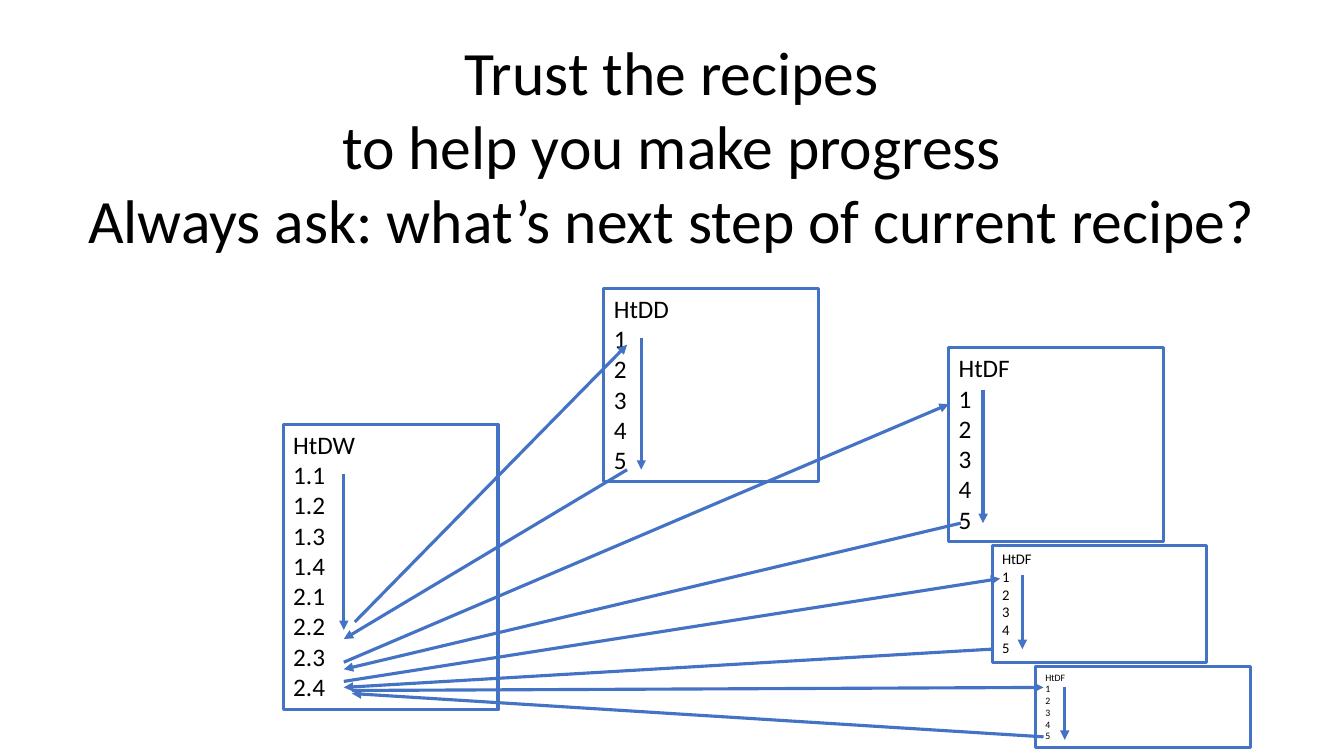
from pptx import Presentation
from pptx.dml.color import RGBColor
from pptx.enum.shapes import MSO_CONNECTOR, MSO_SHAPE
from pptx.enum.text import MSO_ANCHOR, PP_ALIGN
from pptx.oxml.ns import qn
from pptx.util import Inches, Pt
from lxml.etree import SubElement

COLOURS = {"line": "4472C4", "text": "000000"}
FONT = "Calibri"
LINE_WIDTH = 2.25
BOX_WIDTH = 2.13
TITLE = [
    "Trust the recipes",
    "to help you make progress",
    "Always ask: what’s next step of current recipe?",
]
WORLD_STEPS = ["1.1", "1.2", "1.3", "1.4", "2.1", "2.2", "2.3", "2.4"]
STEPS = ["1", "2", "3", "4", "5"]
RECIPES = [
    {"name": "HtDW", "steps": WORLD_STEPS, "at": (2.81, 4.21), "height": 2.83, "size": 18},
    {"name": "HtDD", "steps": STEPS, "at": (5.99, 2.86), "height": 1.92, "size": 18},
    {"name": "HtDF", "steps": STEPS, "at": (9.41, 3.45), "height": 1.92, "size": 18},
    {"name": "HtDF", "steps": STEPS, "at": (9.84, 5.41), "height": 1.16, "size": 10.5},
    {"name": "HtDF", "steps": STEPS, "at": (10.27, 6.61), "height": 0.81, "size": 7},
]
PROGRESS_ARROWS = [
    (3.41, 4.7, 6.25),
    (6.36, 3.35, 4.66),
    (9.75, 3.87, 5.19),
    (10.14, 5.7, 6.44),
    (10.56, 6.82, 7.34),
]
CALL_ARROWS = [
    ((3.52, 6.17), (6.22, 3.42)),
    ((3.41, 6.57), (9.41, 4.01)),
    ((3.41, 6.76), (9.92, 5.74)),
    ((3.49, 6.85), (10.35, 6.82)),
]
RETURN_ARROWS = [
    ((6.22, 4.66), (3.41, 6.34)),
    ((9.53, 5.19), (3.41, 6.64)),
    ((9.84, 6.44), (3.41, 6.82)),
    ((10.35, 7.31), (3.49, 6.88)),
]


def colour(name):
    return RGBColor.from_string(COLOURS[name])


def style_line(line):
    line.color.rgb = colour("line")
    line.width = Pt(LINE_WIDTH)


def write_lines(shape, lines, size, alignment):
    frame = shape.text_frame
    frame.word_wrap = True
    frame.vertical_anchor = MSO_ANCHOR.TOP
    for index, text in enumerate(lines):
        para = frame.paragraphs[0] if index == 0 else frame.add_paragraph()
        para.alignment = alignment
        span = para.add_run()
        span.text = text
        span.font.color.rgb = colour("text")
        for key, value in {"name": FONT, "size": Pt(size)}.items():
            setattr(span.font, key, value)


def add_recipe(page, recipe):
    left, top = recipe["at"]
    box = page.shapes.add_shape(
        MSO_SHAPE.RECTANGLE,
        Inches(left), Inches(top), Inches(BOX_WIDTH), Inches(recipe["height"]),
    )
    box.shadow.inherit = False
    box.fill.background()
    style_line(box.line)
    write_lines(box, [recipe["name"], *recipe["steps"]], recipe["size"], PP_ALIGN.LEFT)


def add_arrow(page, start, end):
    arrow = page.shapes.add_connector(
        MSO_CONNECTOR.STRAIGHT, *[Inches(value) for value in (*start, *end)]
    )
    style_line(arrow.line)
    SubElement(arrow.line._get_or_add_ln(), qn("a:tailEnd"), type="triangle")
    SubElement(arrow._element.spPr, qn("a:effectLst"))


def main():
    deck = Presentation()
    deck.slide_width = Inches(13.33)
    deck.slide_height = Inches(7.5)
    page = deck.slides.add_slide(deck.slide_layouts[6])
    for recipe in RECIPES:
        add_recipe(page, recipe)
    for x, top, bottom in PROGRESS_ARROWS:
        add_arrow(page, (x, top), (x, bottom))
    for start, end in CALL_ARROWS + RETURN_ARROWS:
        add_arrow(page, start, end)
    title = page.shapes.add_textbox(Inches(0.76), Inches(0.29), Inches(11.81), Inches(2.32))
    write_lines(title, TITLE, 44, PP_ALIGN.CENTER)
    deck.save("out.pptx")


if __name__ == "__main__":
    main()
